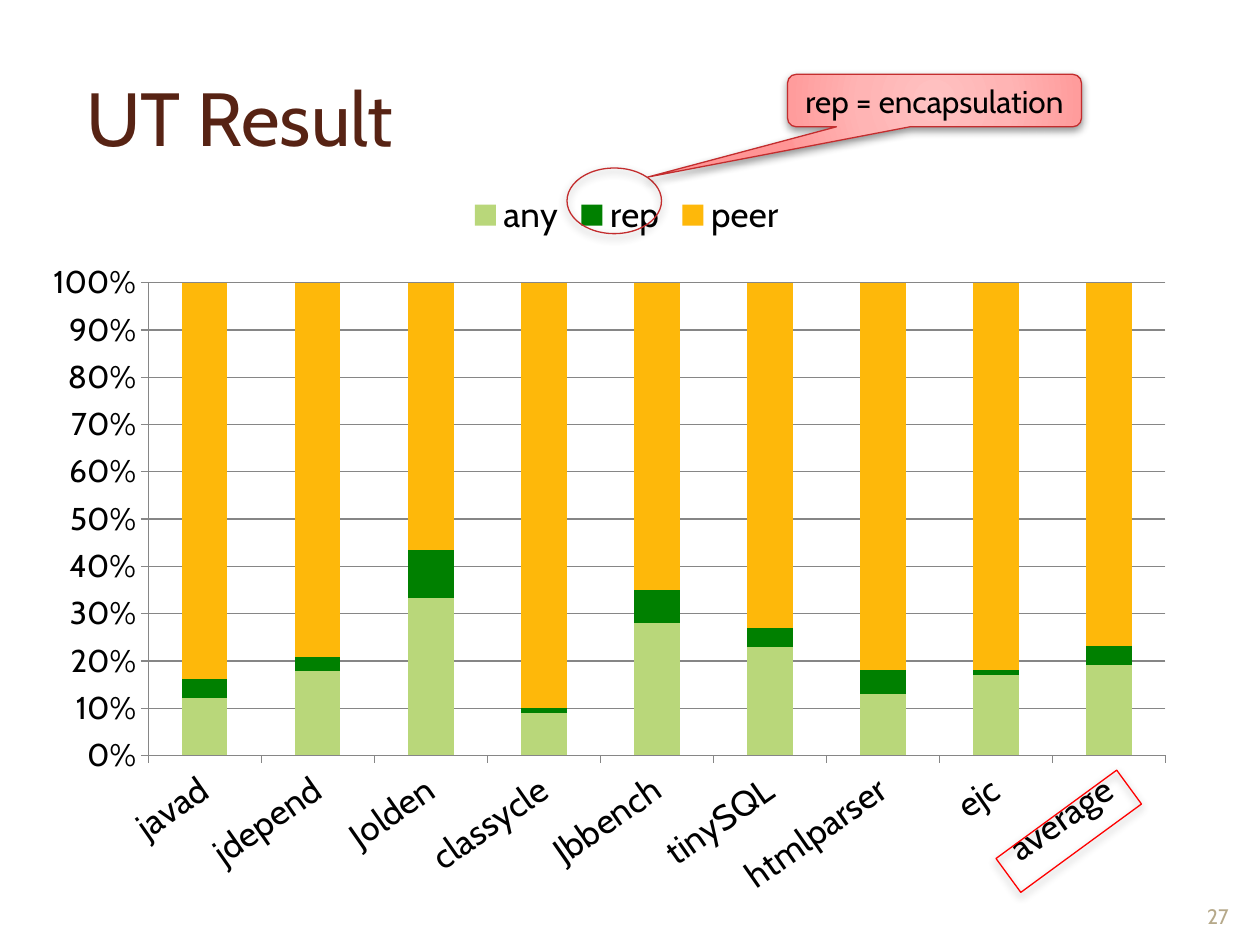
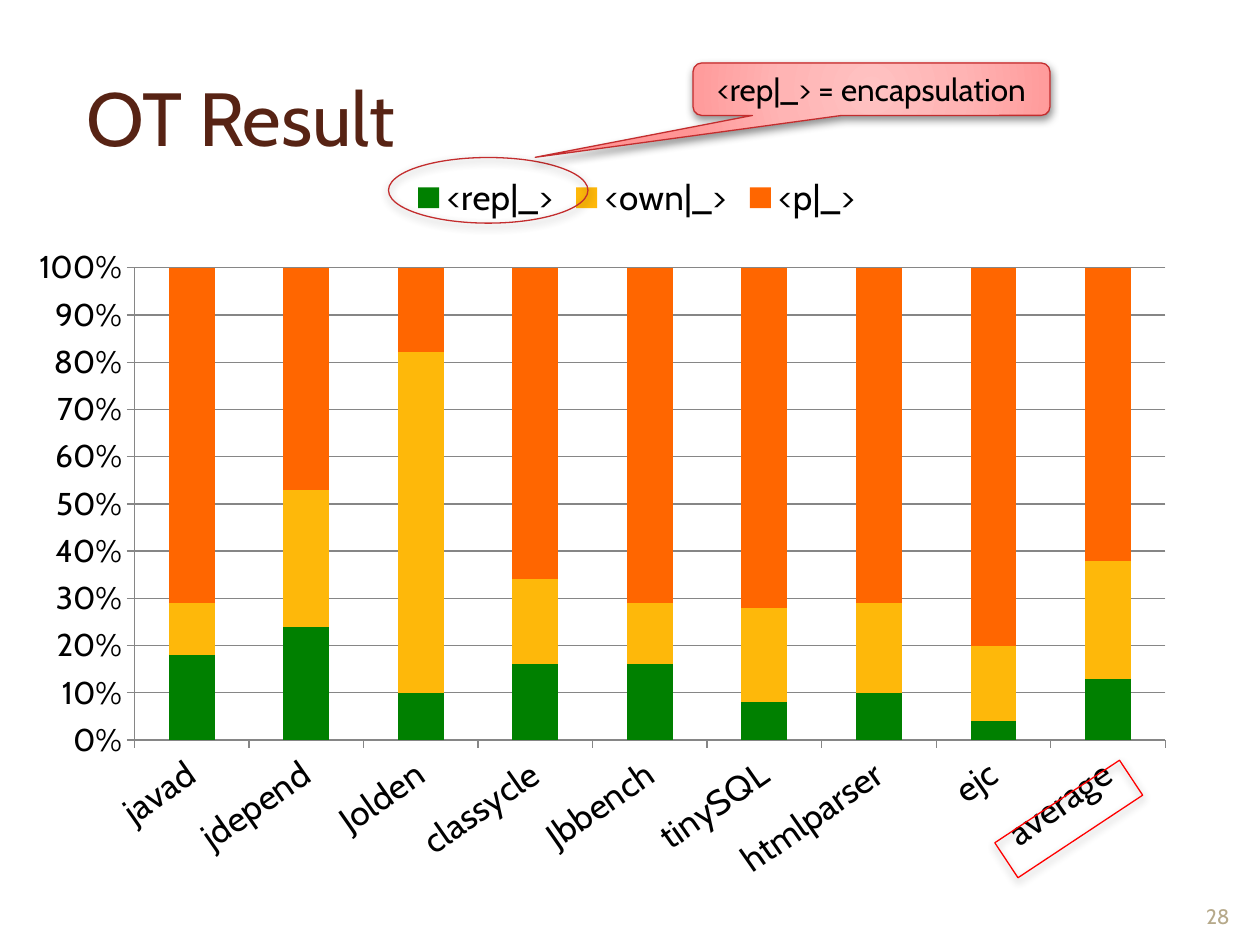
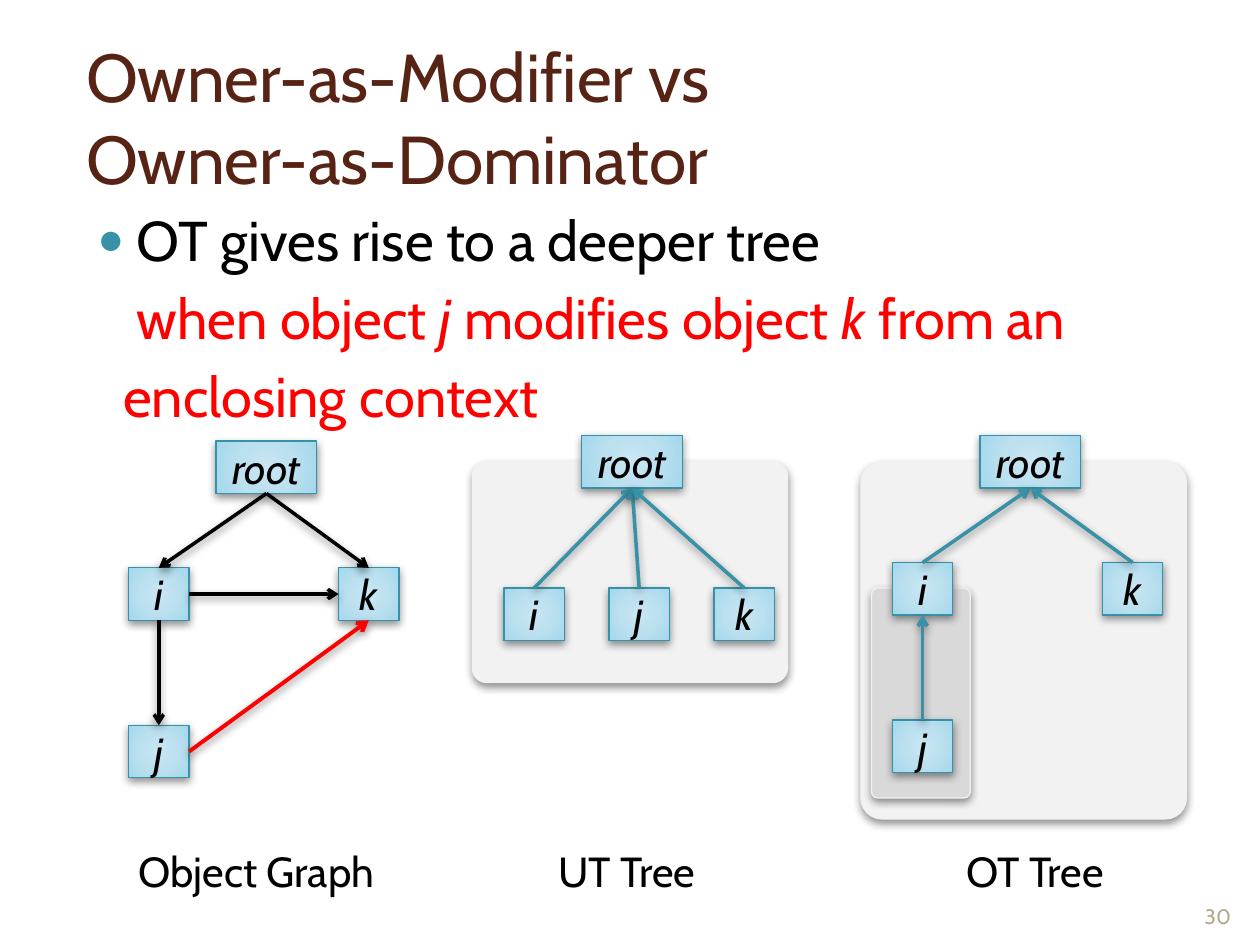
import pptx
import pptx.chart.data
import pptx.dml.color
import pptx.enum.chart
import pptx.enum.shapes
import pptx.enum.text
import pptx.oxml
import pptx.oxml.ns
import pptx.util

Pt = pptx.util.Pt
RGB = pptx.dml.color.RGBColor.from_string
qn = pptx.oxml.ns.qn
SHAPE = pptx.enum.shapes.MSO_SHAPE
ALIGN = pptx.enum.text.PP_ALIGN
ANCHOR = pptx.enum.text.MSO_ANCHOR
A_NAMESPACE = pptx.oxml.ns.nsdecls("a")
C_NAMESPACE = pptx.oxml.ns.nsdecls("c")

FONT = "Cabin"
COLORS = {
    "title": "572314", "text": "000000", "number": "B6A98A",
    "teal": "3891A7", "red": "FF0000", "dark red": "C32D2E",
    "panel": "F2F2F2", "inner panel": "D9D9D9", "axis": "868686",
    "any": "B9D77A", "rep": "008000", "amber": "FEB80A", "orange": "FF6600",
}
GRADIENTS = {
    "callout": ("FFC2C2", "FFB4B4", "FF9C9C", "FF9595"),
    "node": ("C9E6F2", "BBE0EF", "A4D8ED", "9BD7EE"),
}
GRADIENT_STOPS = (0, 50, 97, 100)


def add_run(paragraph, text, size, color="text", italic=False):
    run = paragraph.add_run()
    run.text = text
    run.font.name = FONT
    run.font.size = Pt(size)
    run.font.italic = italic
    run.font.color.rgb = RGB(COLORS[color])


def decorate(shape, line_color, line_width=0.75, fill=None):
    """Set line, soft shadow and, on closed shapes, the fill."""
    properties = shape.element.spPr
    shape.line.color.rgb = RGB(COLORS[line_color])
    shape.line.width = Pt(line_width)
    if fill in COLORS:
        shape.fill.solid()
        shape.fill.fore_color.rgb = RGB(COLORS[fill])
    elif hasattr(shape, "fill"):
        shape.fill.background()
    if fill in GRADIENTS:
        stops = "".join(
            f'<a:gs pos="{position * 1000}"><a:srgbClr val="{color}"/></a:gs>'
            for position, color in zip(GRADIENT_STOPS, GRADIENTS[fill]))
        properties.replace(properties.find(qn("a:noFill")), pptx.oxml.parse_xml(
            f'<a:gradFill {A_NAMESPACE}><a:gsLst>{stops}</a:gsLst><a:path path="circle">'
            '<a:fillToRect l="50000" t="50000" r="50000" b="50000"/></a:path></a:gradFill>'))
    properties.append(pptx.oxml.parse_xml(
        f'<a:effectLst {A_NAMESPACE}><a:outerShdw blurRad="{Pt(5)}" dist="{Pt(2)}" '
        'dir="5400000" rotWithShape="0"><a:srgbClr val="000000"><a:alpha val="43000"/>'
        '</a:srgbClr></a:outerShdw></a:effectLst>'))


presentation = pptx.Presentation()
presentation.slide_width = Pt(720)
presentation.slide_height = Pt(540)

# Titles and slide numbers
pages = [
    (5, ["UT Result"], 43, "27"),
    (5, ["OT Result"], 43, "28"),
    (1, ["Owner-as-Modifier vs ", "Owner-as-Dominator"], 38.7, "30"),
]
for layout, title_lines, title_size, number in pages:
    slide = presentation.slides.add_slide(presentation.slide_layouts[layout])
    title = slide.shapes.title
    title.left, title.top, title.width, title.height = Pt(42), Pt(21.5), Pt(638.5), Pt(90)
    title.text_frame.auto_size = pptx.enum.text.MSO_AUTO_SIZE.NONE
    title.text_frame.vertical_anchor = ANCHOR.MIDDLE
    paragraph = title.text_frame.paragraphs[0]
    paragraph.alignment = ALIGN.LEFT
    for index, line in enumerate(title_lines):
        if index:
            paragraph.add_line_break()
        add_run(paragraph, line, title_size, "title")

    number_box = slide.shapes.add_textbox(Pt(678), Pt(497), Pt(36), Pt(37.5))
    number_box.text_frame.word_wrap = True
    number_box.text_frame.vertical_anchor = ANCHOR.BOTTOM
    paragraph = number_box.text_frame.paragraphs[0]
    paragraph.alignment = ALIGN.CENTER
    add_run(paragraph, number, 12, "number")

# Result charts with their highlights
programs = ["javad", "jdepend", "Jolden", "classycle", "Jbbench",
            "tinySQL", "htmlparser", "ejc", "average"]
results = [
    {
        "frame": (27.5, 100, 659, 440),
        "plot": {"x": 0.087, "y": 0.14, "w": 0.882, "h": 0.614},
        "legend": {"x": 0.36, "y": 0.015},
        "series": [("any", "any", (12, 18, 33, 9, 28, 23, 13, 17, 19)),
                   ("rep", "rep", (4, 3, 10, 1, 7, 4, 5, 1, 4)),
                   ("peer", "amber", (83, 80, 56, 90, 65, 73, 82, 82, 76))],
        "average": (568, 463, 323.8),
        "ellipse": (324, 96, 54, 37.5),
        "callout": (450, 42.5, 168, 30),
        "tip": (-0.975, 1.458),
        "note": "rep = encapsulation",
    },
    {
        "frame": (12, 90, 668, 444),
        "plot": {"x": 0.097, "y": 0.142, "w": 0.882, "h": 0.608},
        "legend": {"x": 0.33, "y": 0.015},
        "series": [("<rep|_>", "rep", (18, 24, 10, 16, 16, 8, 10, 4, 13)),
                   ("<own|_>", "amber", (11, 29, 73, 18, 13, 20, 19, 16, 25)),
                   ("<p|_>", "orange", (71, 47, 18, 66, 71, 72, 71, 80, 62))],
        "average": (568, 456, 326.5),
        "ellipse": (222, 90, 114, 37.5),
        "callout": (396, 36, 204, 30),
        "tip": (-0.942, 1.298),
        "note": "<rep|_> = encapsulation",
    },
]
for slide, result in zip(presentation.slides, results):
    chart_data = pptx.chart.data.CategoryChartData()
    chart_data.categories = programs
    for name, color, values in result["series"]:
        chart_data.add_series(name, values)
    chart = slide.shapes.add_chart(
        pptx.enum.chart.XL_CHART_TYPE.COLUMN_STACKED_100,
        *map(Pt, result["frame"]), chart_data).chart
    chart.has_title = False
    chart.font.name = FONT
    chart.font.size = Pt(18)
    chart.font.color.rgb = RGB(COLORS["text"])
    plot = chart.plots[0]
    plot.gap_width = 150
    plot.overlap = 100
    plot.vary_by_categories = False
    for series, (name, color, values) in zip(plot.series, result["series"]):
        series.format.fill.solid()
        series.format.fill.fore_color.rgb = RGB(COLORS[color])

    # Axes and legend
    chart.value_axis.has_major_gridlines = True
    chart.value_axis.tick_labels.number_format = "0%"
    chart.value_axis.tick_labels.number_format_is_linked = False
    chart.category_axis.tick_labels.font.size = Pt(20)
    chart.category_axis._element.find(qn("c:txPr")).find(qn("a:bodyPr")).set("rot", "-2100000")
    for axis in (chart.value_axis, chart.category_axis):
        axis.major_tick_mark = pptx.enum.chart.XL_TICK_MARK.OUTSIDE
        axis.format.line.color.rgb = RGB(COLORS["axis"])
    chart.value_axis.major_gridlines.format.line.color.rgb = RGB(COLORS["axis"])
    chart.has_legend = True
    chart.legend.position = pptx.enum.chart.XL_LEGEND_POSITION.TOP
    chart.legend.include_in_layout = False
    chart.legend.font.size = Pt(20)

    # Fixed places of plot area and legend
    plot_area = chart.element.find(".//" + qn("c:plotArea"))
    legend = chart.element.find(".//" + qn("c:legend"))
    for parent, position, target, place in (
            (plot_area, 0, '<c:layoutTarget val="inner"/>', result["plot"]),
            (legend, 1, "", result["legend"])):
        for old_layout in parent.findall(qn("c:layout")):
            parent.remove(old_layout)
        sizes = "".join(f'<c:{key} val="{value}"/>' for key, value in place.items())
        parent.insert(position, pptx.oxml.parse_xml(
            f'<c:layout {C_NAMESPACE}><c:manualLayout>{target}<c:xMode val="edge"/>'
            f'<c:yMode val="edge"/>{sizes}</c:manualLayout></c:layout>'))

    # Frame around "average", ring around the legend entry, callout
    left, top, rotation = result["average"]
    average_frame = slide.shapes.add_shape(SHAPE.RECTANGLE, Pt(left), Pt(top), Pt(85.5), Pt(24))
    average_frame.rotation = rotation
    decorate(average_frame, "red")
    ellipse = slide.shapes.add_shape(SHAPE.OVAL, *map(Pt, result["ellipse"]))
    decorate(ellipse, "dark red")
    callout = slide.shapes.add_shape(SHAPE.ROUNDED_RECTANGULAR_CALLOUT,
                                     *map(Pt, result["callout"]))
    callout.adjustments[0], callout.adjustments[1] = result["tip"]
    decorate(callout, "dark red", fill="callout")
    callout.text_frame.vertical_anchor = ANCHOR.MIDDLE
    paragraph = callout.text_frame.paragraphs[0]
    paragraph.alignment = ALIGN.CENTER
    add_run(paragraph, result["note"], 18)

# Body text of the comparison slide
slide = presentation.slides[2]
body = slide.placeholders[1]
body.left, body.top, body.width, body.height = Pt(42), Pt(114), Pt(638.5), Pt(378)
body.text_frame.auto_size = pptx.enum.text.MSO_AUTO_SIZE.NONE
BULLET = (f'<a:buClr {A_NAMESPACE}><a:srgbClr val="{COLORS["teal"]}"/></a:buClr>',
          f'<a:buSzPct {A_NAMESPACE} val="80000"/>',
          f'<a:buFont {A_NAMESPACE} typeface="Arial"/>',
          f'<a:buChar {A_NAMESPACE} char="●"/>')
NO_BULLET = (f'<a:buNone {A_NAMESPACE}/>',)
body_lines = [
    (28.8, -22.3, BULLET, "text", ["OT gives rise to a deeper tree"]),
    (28.8, 0, NO_BULLET, "red", ["when object ", "j", " modifies object ", "k", " from an"]),
    (21.25, 0, NO_BULLET, "red", ["enclosing context"]),
]
for index, (margin, indent, bullet, color, texts) in enumerate(body_lines):
    paragraph = body.text_frame.add_paragraph() if index else body.text_frame.paragraphs[0]
    paragraph.space_before = Pt(6)
    paragraph_properties = paragraph._p.get_or_add_pPr()
    paragraph_properties.set("marL", str(int(Pt(margin))))
    paragraph_properties.set("indent", str(int(Pt(indent))))
    for element in bullet:
        paragraph_properties.append(pptx.oxml.parse_xml(element))
    for text in texts:
        add_run(paragraph, text, 32, color, italic=text in ("j", "k"))

# Diagrams: node places count from node i, edges are (from, side, to, side, colour, width)
BOTTOM, TOP, LEFT, RIGHT = 2, 0, 1, 3
diagrams = [
    {
        "label": ("OT Tree", 545, 126.5),
        "panels": [(492, 264, 186, 204, "panel"), (498, 336, 56.5, 120, "inner panel")],
        "origin": (510, 321.5),
        "nodes": {"root": (50, -72.5), "i": (0, 0), "k": (120, 0), "j": (0, 90)},
        "arrow": "a:headEnd",
        "edges": [("root", BOTTOM, "i", TOP, "teal", 2),
                  ("i", BOTTOM, "j", TOP, "teal", 2),
                  ("root", BOTTOM, "k", TOP, "teal", 2)],
    },
    {
        "label": ("UT Tree", 312, 126.5),
        "panels": [(270, 264, 180, 126, "panel")],
        "origin": (288, 336),
        "nodes": {"root": (44.5, -87), "i": (0, 0), "k": (120, 0), "j": (60, 0)},
        "arrow": "a:headEnd",
        "edges": [("root", BOTTOM, name, TOP, "teal", 2) for name in "ijk"],
    },
    {
        "label": ("Object Graph", 72, 151),
        "panels": [],
        "origin": (73.5, 324.5),
        "nodes": {"root": (50, -72.5), "i": (0, 0), "k": (120, 0), "j": (0, 90)},
        "arrow": "a:tailEnd",
        "edges": [("root", BOTTOM, "i", TOP, "text", 2),
                  ("i", BOTTOM, "j", TOP, "text", 2),
                  ("root", BOTTOM, "k", TOP, "text", 2),
                  ("j", RIGHT, "k", BOTTOM, "red", 2.25),
                  ("i", RIGHT, "k", LEFT, "text", 2)],
    },
]
for diagram in diagrams:
    for left, top, width, height, fill in diagram["panels"]:
        panel = slide.shapes.add_shape(SHAPE.ROUNDED_RECTANGLE,
                                       Pt(left), Pt(top), Pt(width), Pt(height))
        panel.adjustments[0] = 0.065
        decorate(panel, "panel", fill=fill)

    nodes = {}
    origin_left, origin_top = diagram["origin"]
    for name, (across, down) in diagram["nodes"].items():
        node = slide.shapes.add_shape(
            SHAPE.RECTANGLE, Pt(origin_left + across), Pt(origin_top + down),
            Pt(57.5 if name == "root" else 34.5), Pt(30))
        decorate(node, "teal", fill="node")
        node.text_frame.vertical_anchor = ANCHOR.MIDDLE
        paragraph = node.text_frame.paragraphs[0]
        paragraph.alignment = ALIGN.CENTER
        add_run(paragraph, name, 24, italic=True)
        nodes[name] = node

    for start, start_side, end, end_side, color, width in diagram["edges"]:
        edge = slide.shapes.add_connector(
            pptx.enum.shapes.MSO_CONNECTOR.STRAIGHT, Pt(0), Pt(0), Pt(0), Pt(0))
        edge.begin_connect(nodes[start], start_side)
        edge.end_connect(nodes[end], end_side)
        decorate(edge, color, width)
        edge.line._get_or_add_ln().append(pptx.oxml.parse_xml(
            f'<{diagram["arrow"]} {A_NAMESPACE} type="arrow"/>'))

    text, left, width = diagram["label"]
    label = slide.shapes.add_textbox(Pt(left), Pt(479.5), Pt(width), Pt(36))
    label.text_frame.word_wrap = True
    add_run(label.text_frame.paragraphs[0], text, 24)

presentation.save("out.pptx")
